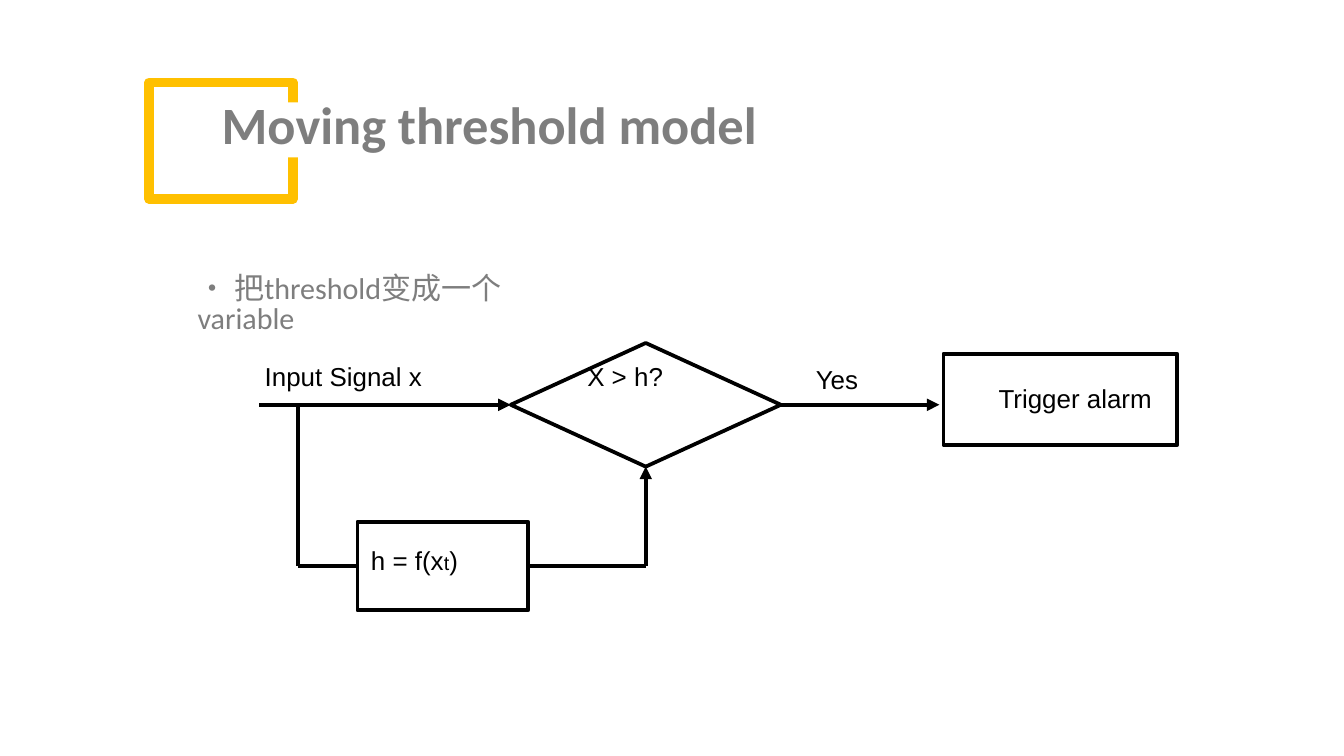
from dataclasses import dataclass

from lxml import etree
from pptx import Presentation
from pptx import util as u
from pptx.dml import color
from pptx.enum import shapes, text
from pptx.oxml import ns


@dataclass(frozen=True)
class Theme:
    """Colours, fonts, type sizes and line widths of the deck."""
    accent: str = "FFC000"
    heading: str = "7E7E7E"
    ink: str = "000000"
    paper: str = "FFFFFF"
    display: str = "Calibri"
    label: str = "Arial"
    chinese: str = "Noto Sans CJK SC"
    title_size: float = 28.1
    bullet_size: float = 16.1
    label_size: float = 13.9
    subscript_size: float = 10.6
    frame_line: float = 5
    outline: float = 2
    flow_line: float = 2.25


@dataclass(frozen=True)
class Box:
    """A region measured in columns and rows of the slide grid."""
    left: float
    top: float
    width: float
    height: float

    def inner(self, left, top, width, height):
        """Return a box offset from this one."""
        return Box(self.left + left, self.top + top, width, height)

    def point(self, column, row):
        """Return a slide position for a point inside this box."""
        return grid(self.left + column), grid(self.top + row)

    def lengths(self):
        """Return the slide lengths of this box."""
        return [grid(n) for n in (self.left, self.top, self.width, self.height)]


THEME = Theme()
SLIDE = Box(0, 0, 100, 100 * 9 / 16)
CELL = 0.1


def grid(cells):
    """Turn grid cells into a length."""
    return u.Inches(cells * CELL)


def colour(value):
    """Turn a hex value into a colour."""
    return color.RGBColor.from_string(value)


def add_outline(page, kind, box, line=None, width=THEME.outline, fill=None):
    """Draw a preset shape with an optional line and fill."""
    shape = page.shapes.add_shape(kind, *box.lengths())
    shape.shadow.inherit = False
    if fill:
        shape.fill.solid()
        shape.fill.fore_color.rgb = colour(fill)
    else:
        shape.fill.background()
    if line:
        shape.line.color.rgb = colour(line)
        shape.line.width = u.Pt(width)
    else:
        shape.line.fill.background()
    return shape


def add_text(page, box, spans, size, tint=THEME.ink, bold=False, wrap=False):
    """Write one paragraph from (words, font, size) spans."""
    frame = page.shapes.add_textbox(*box.lengths()).text_frame
    frame.word_wrap = wrap
    frame.auto_size = text.MSO_AUTO_SIZE.NONE
    frame.margin_left = frame.margin_top = frame.margin_right = 0
    para = frame.paragraphs[0]
    para.line_spacing = u.Pt(size)
    for words, face, span_size in spans:
        span = para.add_run()
        span.text = words
        span.font.name = face
        span.font.size = u.Pt(span_size)
        span.font.bold = bold
        span.font.color.rgb = colour(tint)
        east_asian = etree.SubElement(span.font._element, ns.qn("a:ea"))
        east_asian.set("typeface", THEME.chinese)


def add_flow(page, start, end, source=None, target=None, arrow=False):
    """Draw a flow line, joined to (shape, side) pairs where given."""
    line = page.shapes.add_connector(shapes.MSO_CONNECTOR.STRAIGHT, *start, *end)
    line.line.color.rgb = colour(THEME.ink)
    line.line.width = u.Pt(THEME.flow_line)
    if source:
        line.begin_connect(*source)
    if target:
        line.end_connect(*target)
    if arrow:
        head = etree.SubElement(line.line._get_or_add_ln(), ns.qn("a:tailEnd"))
        head.set("type", "triangle")
    etree.SubElement(line._element.spPr, ns.qn("a:effectLst"))


def add_header(page, box):
    """Place the accent frame and the title that cuts through it."""
    rectangle = shapes.MSO_SHAPE.RECTANGLE
    add_outline(page, rectangle, box.inner(0, 0, 10.7, 8.7), THEME.accent, THEME.frame_line)
    add_outline(page, rectangle, box.inner(6.8, 1.5, 7.5, 4.1), fill=THEME.paper)
    spans = [("Moving threshold model", THEME.display, THEME.title_size)]
    add_text(page, box.inner(5.4, 1.5, 41.3, 3.9), spans, THEME.title_size, THEME.heading, True)


def add_bullet(page, box):
    """Place the bullet sentence."""
    size = THEME.bullet_size
    spans = [("• ", THEME.label, size), ("把", THEME.chinese, size),
             ("threshold变成一个variable", THEME.display, size)]
    add_text(page, box, spans, size, THEME.heading, wrap=True)


def add_flowchart(page, box):
    """Place the decision, its boxes, flow lines and labels."""
    rectangle = shapes.MSO_SHAPE.RECTANGLE
    main_row, loop_row, branch, apex = 4.6, 16.6, 2.9, 28.75
    decision = add_outline(page, shapes.MSO_SHAPE.DIAMOND, box.inner(18.7, 0, 20.1, 9.2), THEME.ink)
    add_outline(page, rectangle, box.inner(50.9, 0.8, 17.4, 6.8), THEME.ink)
    update = add_outline(page, rectangle, box.inner(7.3, 13.3, 12.7, 6.6), THEME.ink)

    fork, corner = box.point(branch, loop_row), box.point(apex, loop_row)
    add_flow(page, box.point(0, main_row), box.point(18.7, main_row), target=(decision, 1), arrow=True)
    add_flow(page, box.point(38.8, main_row), box.point(50.6, main_row), source=(decision, 3), arrow=True)
    add_flow(page, box.point(branch, main_row), fork)
    add_flow(page, fork, box.point(7.3, loop_row), target=(update, 1))
    add_flow(page, box.point(20, loop_row), corner, source=(update, 3))
    add_flow(page, corner, box.point(apex, 9.2), target=(decision, 2), arrow=True)

    size = THEME.label_size
    labels = [
        (0.4, 1.7, 12, [("Input Signal x", size)]),
        (24.4, 1.7, 6.7, [("X > h?", size)]),
        (41.4, 1.95, 4.7, [("Yes", size)]),
        (55, 3.3, 12.9, [("Trigger alarm", size)]),
        (8.3, 15.4, 7.9, [("h = f(x", size), ("t", THEME.subscript_size), (")", size)]),
    ]
    for left, top, width, parts in labels:
        spans = [(words, THEME.label, span_size) for words, span_size in parts]
        add_text(page, box.inner(left, top, width, 1.9), spans, size)


def main():
    """Build and save the deck."""
    deck = Presentation()
    deck.slide_width, deck.slide_height = grid(SLIDE.width), grid(SLIDE.height)
    page = deck.slides.add_slide(deck.slide_layouts[6])
    add_header(page, SLIDE.inner(11.1, 6.12, 46.7, 8.7))
    add_bullet(page, SLIDE.inner(14.7, 20.5, 28.9, 2.8))
    add_flowchart(page, SLIDE.inner(19.3, 25.52, 68.3, 19.9))
    deck.save("out.pptx")


if __name__ == "__main__":
    main()
